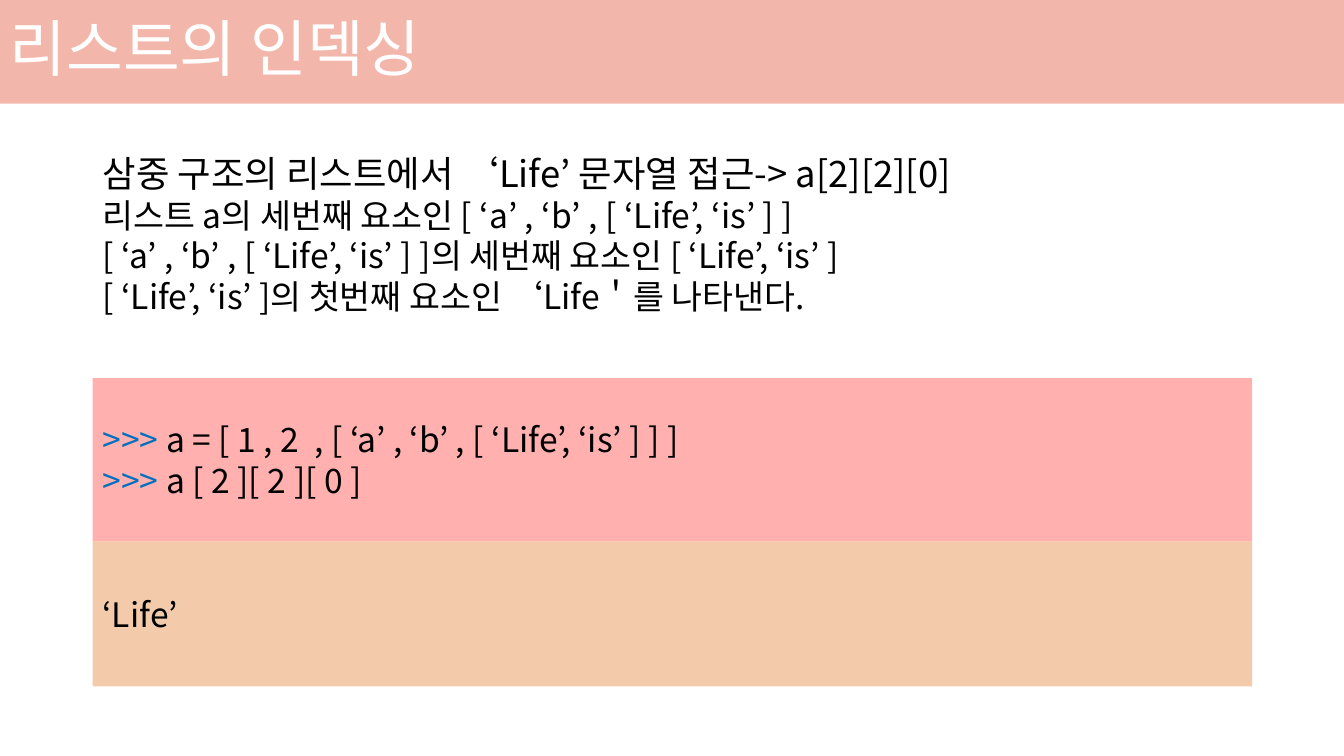
from lxml import etree
from pptx import Presentation
from pptx import util as u
from pptx.dml.color import RGBColor
from pptx.enum import shapes, text
from pptx.oxml.ns import qn

FONT = "Noto Sans CJK KR"
COLORS = {
    "header": "E86E58",
    "code": "FF6261",
    "result": "E89858",
    "prompt": "0070C0",
    "ink": "000000",
    "white": "FFFFFF",
}
LEFT, WIDTH = 0.92, 11.5


def apply_format(target, values):
    """Set each named attribute of the target."""
    for name, value in values.items():
        setattr(target, name, value)


def write(frame, paragraphs, spacing=None):
    """Fill a text frame with paragraphs of (words, size, colour) runs."""
    for index, pieces in enumerate(paragraphs):
        line = frame.paragraphs[0] if index == 0 else frame.add_paragraph()
        apply_format(line, {"alignment": text.PP_ALIGN.LEFT, "line_spacing": spacing})
        for words, size, color in pieces:
            run = line.add_run()
            run.text = words
            apply_format(run.font, {"size": u.Pt(size), "name": FONT})
            run.font.color.rgb = RGBColor.from_string(COLORS[color])
            east_asian = etree.SubElement(run.font._element, qn("a:ea"))
            east_asian.set("typeface", FONT)


def add_band(slide, box, color, paragraphs, spacing=None):
    """Add a half-transparent rectangle holding text."""
    band = slide.shapes.add_shape(
        shapes.MSO_SHAPE.RECTANGLE, *map(u.Inches, box))
    band.shadow.inherit = False
    band.line.fill.background()
    band.fill.solid()
    band.fill.fore_color.rgb = RGBColor.from_string(COLORS[color])
    tint = band._element.spPr.find(".//" + qn("a:srgbClr"))
    etree.SubElement(tint, qn("a:alpha")).set("val", "50000")
    apply_format(band.text_frame, {
        "word_wrap": True, "vertical_anchor": text.MSO_ANCHOR.MIDDLE})
    write(band.text_frame, paragraphs, spacing)


def add_explanation(slide, box, paragraphs):
    """Add a wrapping text box that grows with its text."""
    explanation = slide.shapes.add_textbox(*map(u.Inches, box))
    apply_format(explanation.text_frame, {
        "word_wrap": True, "auto_size": text.MSO_AUTO_SIZE.SHAPE_TO_FIT_TEXT})
    write(explanation.text_frame, paragraphs)


def main():
    """Build the list indexing slide."""
    deck = Presentation()
    apply_format(deck, {"slide_width": u.Inches(13.33), "slide_height": u.Inches(7.5)})
    slide = deck.slides.add_slide(deck.slide_layouts[6])

    inner = "[ ‘Life’, ‘is’ ]"
    middle = f"[ ‘a’ , ‘b’ , {inner} ]"
    statements = [f" a = [ 1 , 2  , {middle} ]", " a [ 2 ][ 2 ][ 0 ]"]
    steps = [
        f"리스트 a의 세번째 요소인 {middle} ",
        f"{middle}의 세번째 요소인 {inner}",
        f"{inner}의 첫번째 요소인 ‘Life＇를 나타낸다.",
    ]

    add_band(slide, (0, 0, 13.33, 1.03), "header",
             [[("리스트의 인덱싱", 44, "white")]], 0.9)
    add_band(slide, (LEFT, 3.75, WIDTH, 1.62), "code",
             [[(">>>", 24, "prompt"), (code, 24, "ink")] for code in statements])
    add_band(slide, (LEFT, 5.37, WIDTH, 1.44), "result", [[("‘Life’", 24, "ink")]])
    add_explanation(
        slide, (LEFT, 1.45, 10.42, 1.75),
        [[("삼중 구조의 리스트에서 ‘Life’ 문자열 접근-> a[2][2][0]", 26, "ink")]]
        + [[(step, 24, "ink")] for step in steps])

    deck.save("out.pptx")


main()
